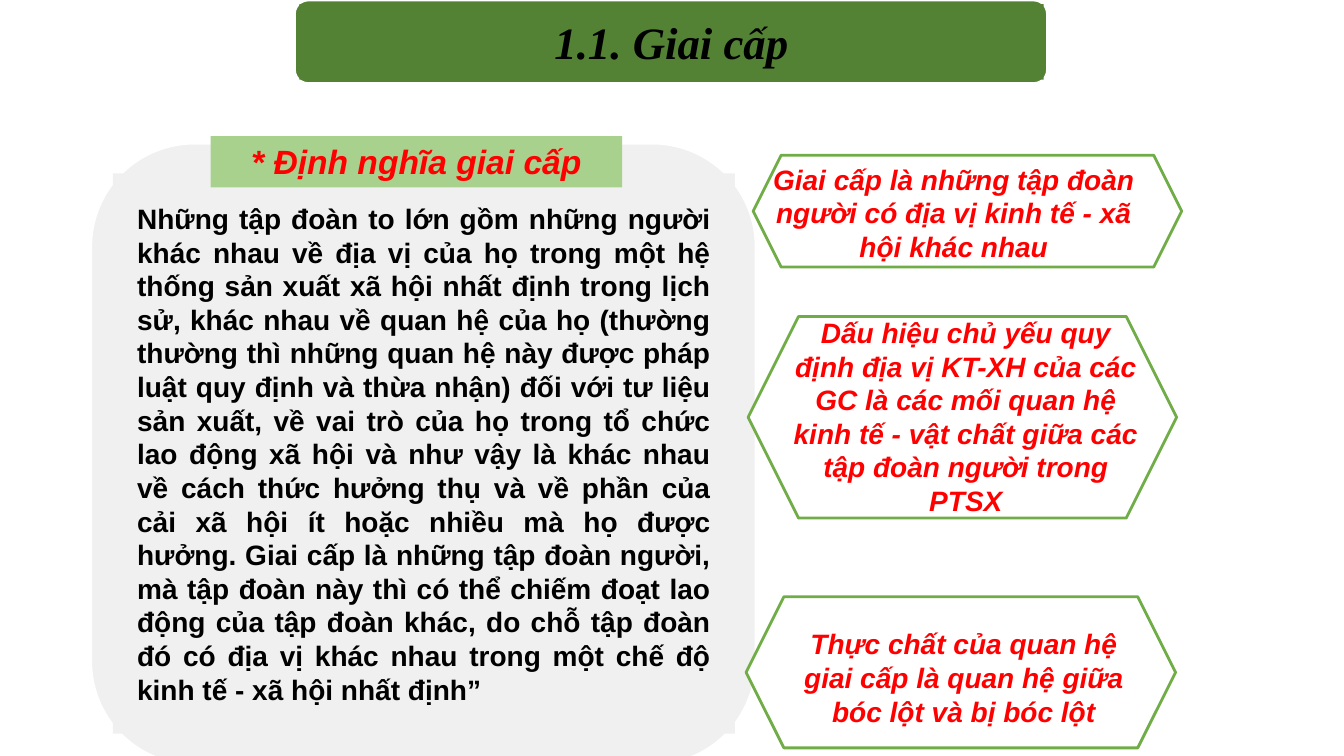
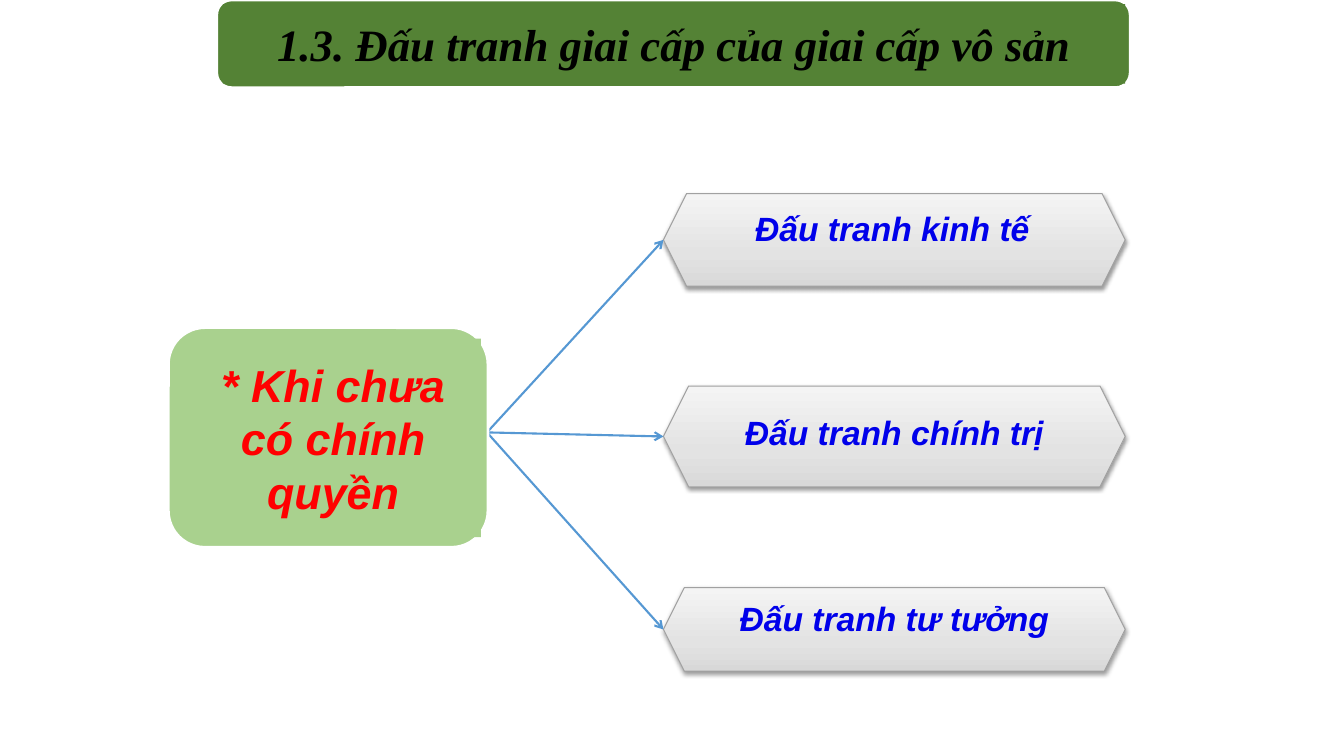
from copy import deepcopy

from lxml import etree
from pptx import Presentation
from pptx.dml.color import RGBColor
from pptx.enum.shapes import MSO_CONNECTOR, MSO_SHAPE as SHAPE
from pptx.enum.text import MSO_ANCHOR as ANCHOR, MSO_AUTO_SIZE as FIT, PP_ALIGN as ALIGN
from pptx.oxml.ns import qn
from pptx.util import Inches, Pt

HUES = {
    "band": "548235", "leaf": "A9D18E", "edge": "70AD47", "pale": "F1F0F0",
    "white": "FFFFFF", "black": "000000", "red": "FF0000", "blue": "0000EA",
    "gray": "A1A1A1", "arrow": "5698D3",
    "dark": "D8D8D8", "mid": "E3E3E3", "light": "F4F4F4",
}
RGB = {name: RGBColor.from_string(code) for name, code in HUES.items()}

BOLD = {"name": "Arial", "bold": True, "italic": True}
TITLE = ("black", {**BOLD, "name": "Times New Roman", "size": Pt(32)})
BODY = ("black", {**BOLD, "size": Pt(20), "italic": False})
NOTE = ("red", {**BOLD, "size": Pt(20)})
HEAD = ("red", {**BOLD, "size": Pt(24)})
ITEM = ("blue", {**BOLD, "size": Pt(24)})
CAUSE = ("red", {**BOLD, "size": Pt(32)})


def put(shapes, kind, box, fill=None, line=None, width=2, text="", style=None,
        align=ALIGN.CENTER, inset=None):
    """Add a shape, or a text box if kind is None; an inset centres the text vertically."""
    place = [Inches(n) for n in box]
    if kind is None:
        shape = shapes.add_textbox(*place)
    else:
        shape = shapes.add_shape(kind, *place)
        shape.shadow.inherit = False
        if fill:
            shape.fill.solid()
            shape.fill.fore_color.rgb = RGB[fill]
        if line:
            shape.line.color.rgb = RGB[line]
            shape.line.width = Pt(width)
        else:
            shape.line.fill.background()
    if text:
        frame = shape.text_frame
        frame.word_wrap = True
        if inset is None:
            frame.auto_size = FIT.SHAPE_TO_FIT_TEXT
            frame.vertical_anchor = ANCHOR.TOP
        else:
            frame.vertical_anchor = ANCHOR.MIDDLE
            frame.margin_left = frame.margin_right = Inches(inset)
            frame.margin_top = frame.margin_bottom = 0
        para = frame.paragraphs[0]
        para.alignment = align
        run = para.add_run()
        run.text = text
        hue, font = style
        for key, value in font.items():
            setattr(run.font, key, value)
        run.font.color.rgb = RGB[hue]
    return shape


def panel(slide, outer, inner, fill, text, style, align=ALIGN.CENTER):
    """Group a rounded plate with the text block that lies on it."""
    shapes = slide.shapes.add_group_shape().shapes
    put(shapes, SHAPE.ROUNDED_RECTANGLE, outer, fill, "white")
    put(shapes, SHAPE.RECTANGLE, inner, fill, text=text, style=style, align=align, inset=0.24)


deck = Presentation()
deck.slide_width, deck.slide_height = Inches(13.33), Inches(7.5)
blank = deck.slide_layouts[6]

# Slide 1: definition of class
slide = deck.slides.add_slide(blank)
panel(slide, (2.92, 0, 7.47, 0.83), (2.97, 0.04, 7.38, 0.75), "band", "1.1. Giai cấp", TITLE)
panel(slide, (0.9, 1.42, 6.6, 6.17), (1.12, 1.72, 6.17, 5.56), "pale",
      "Những tập đoàn to lớn gồm những người khác nhau về địa vị của họ trong một hệ "
      "thống sản xuất xã hội nhất định trong lịch sử, khác nhau về quan hệ của họ "
      "(thường thường thì những quan hệ này được pháp luật quy định và thừa nhận) đối "
      "với tư liệu sản xuất, về vai trò của họ trong tổ chức lao động xã hội và như vậy "
      "là khác nhau về cách thức hưởng thụ và về phần của cải xã hội ít hoặc nhiều mà họ "
      "được hưởng. Giai cấp là những tập đoàn người, mà tập đoàn này thì có thể chiếm "
      "đoạt lao động của tập đoàn khác, do chỗ tập đoàn đó có địa vị khác nhau trong một "
      "chế độ kinh tế - xã hội nhất định”", BODY, ALIGN.JUSTIFY)

notes = [
    ((7.47, 1.54, 4.25, 1.11), (7.42, 1.56, 4.08, 1.11),
     "Giai cấp là những tập đoàn người có địa vị kinh tế - xã hội khác nhau"),
    ((7.42, 3.14, 4.25, 2), (7.76, 3.08, 3.64, 2.12),
     "Dấu hiệu chủ yếu quy định địa vị KT-XH của các GC là các mối quan hệ "
     "kinh tế - vật chất giữa các tập đoàn người trong PTSX"),
    ((7.4, 5.92, 4.26, 1.5), (7.74, 6.17, 3.64, 1.11),
     "Thực chất của quan hệ giai cấp là quan hệ giữa bóc lột và bị bóc lột"),
]
for hexa, box, text in notes:
    put(slide.shapes, SHAPE.HEXAGON, hexa, "white", "edge")
    put(slide.shapes, None, box, text=text, style=NOTE)
put(slide.shapes, SHAPE.RECTANGLE, (2.09, 1.35, 4.08, 0.51), "leaf",
    text="* Định nghĩa giai cấp", style=HEAD)

# Slide 2: forms of struggle
slide = deck.slides.add_slide(blank)
panel(slide, (2.15, 0, 9.06, 0.87), (2.21, 0.04, 8.95, 0.79), "band",
      "1.3. Đấu tranh giai cấp của giai cấp vô sản", TITLE)

left, start = 6.58, (4.83, 4.29)
forms = [
    (1.92, 0.92, (6.81, 2.01, 4.08, 0.51), "Đấu tranh kinh tế"),
    (3.83, 1, (6.83, 4.04, 4.08, 0.51), "Đấu tranh chính trị"),
    (5.83, 0.83, (6.83, 5.88, 4.08, 0.77), "Đấu tranh tư tưởng"),
]
for top, high, box, text in forms:
    hexa = put(slide.shapes, SHAPE.HEXAGON, (left, top, 4.58, high), line="gray", width=0.75)
    hexa.fill.gradient()
    hexa.fill.gradient_angle = 90
    props = hexa._element.spPr
    first = props.find(".//" + qn("a:gs"))
    first.addnext(deepcopy(first))
    for stop, spot, hue in zip(hexa.fill.gradient_stops, (0, 0.35, 1), ("dark", "mid", "light")):
        stop.position = spot
        stop.color.rgb = RGB[hue]
    shade = etree.SubElement(props.find(qn("a:effectLst")), qn("a:outerShdw"),
                             blurRad=str(Pt(3.1)), dist=str(Pt(1.6)), dir="5400000", rotWithShape="0")
    tint = etree.SubElement(shade, qn("a:srgbClr"), val=HUES["black"])
    etree.SubElement(tint, qn("a:alpha"), val="38000")
    put(slide.shapes, None, box, text=text, style=ITEM)

for top, high, *_ in forms:
    ends = [Inches(n) for n in (*start, left, top + high / 2)]
    arrow = slide.shapes.add_connector(MSO_CONNECTOR.STRAIGHT, *ends)
    arrow.line.color.rgb = RGB["arrow"]
    arrow.line.width = Pt(1.5)
    etree.SubElement(arrow.line._get_or_add_ln(), qn("a:tailEnd"), type="arrow")
    etree.SubElement(arrow._element.spPr, qn("a:effectLst"))

panel(slide, (1.67, 3.25, 3.17, 2.18), (1.84, 3.36, 2.93, 1.97), "leaf",
      "* Khi chưa có chính quyền", CAUSE)

deck.save("out.pptx")
